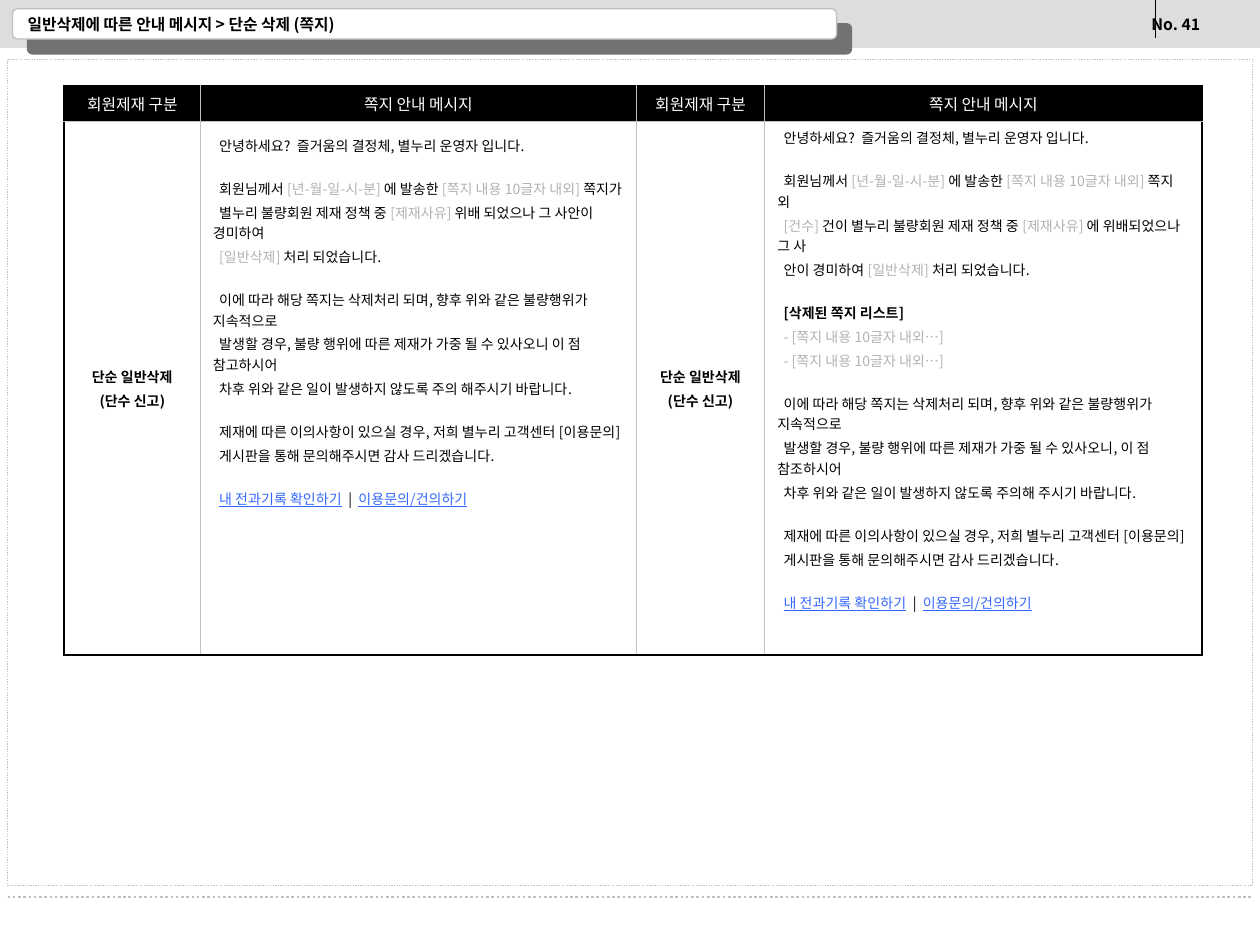
from pptx import Presentation
from pptx.dml.color import RGBColor
from pptx.enum.dml import MSO_LINE
from pptx.enum.shapes import MSO_CONNECTOR, MSO_SHAPE
from pptx.enum.text import MSO_ANCHOR, PP_ALIGN
from pptx.oxml.ns import qn
from pptx.util import Inches, Pt
from lxml.etree import SubElement

FONT = "Noto Sans CJK KR"
BLACK = RGBColor(0, 0, 0)
WHITE = RGBColor(255, 255, 255)
BAND = RGBColor(0xDD, 0xDD, 0xDD)
RULE = RGBColor(0xC0, 0xC0, 0xC0)
GRAY = RGBColor(0xB2, 0xB2, 0xB2)
BLUE = RGBColor(0x33, 0x66, 0xFF)
SHADE = RGBColor(0x72, 0x72, 0x72)


def add_run(para, text, size, color=BLACK, bold=False):
    run = para.add_run()
    run.text = text
    font = run.font
    font.name, font.size, font.bold = FONT, Pt(size), bold
    font.color.rgb = color
    font.underline = color == BLUE
    SubElement(run._r.get_or_add_rPr(), qn("a:ea"), typeface=FONT)


def add_box(kind, left, top, width, height, fill, line=None):
    box = slide.shapes.add_shape(kind, Inches(left), Inches(top),
                                 Inches(width), Inches(height))
    box.shadow.inherit = False
    box.fill.solid()
    box.fill.fore_color.rgb = fill
    if line is None:
        box.line.fill.background()
    else:
        box.line.color.rgb = line
        box.line.width = Pt(0.75)
    return box


prs = Presentation()
prs.slide_width, prs.slide_height = Inches(10), Inches(7.5)
slide = prs.slides.add_slide(prs.slide_layouts[6])

# Header band and title plate with its hard shadow
add_box(MSO_SHAPE.RECTANGLE, 0, 0, 10, 0.38, BAND)
plate = add_box(MSO_SHAPE.ROUNDED_RECTANGLE, 0.1, 0.07, 6.54, 0.24, WHITE, RULE)
effects = plate._element.spPr.find(qn("a:effectLst"))
shadow = SubElement(effects, qn("a:outerShdw"), dist=str(Pt(12.1)),
                    dir="2700000", algn="tl", rotWithShape="0")
SubElement(shadow, qn("a:srgbClr"), val=str(SHADE))

# Page frame
frame = add_box(MSO_SHAPE.RECTANGLE, 0.06, 0.47, 9.88, 6.56, WHITE, RULE)
frame.line.dash_style = MSO_LINE.ROUND_DOT

# Header tick and dotted foot line
for x1, y1, x2, y2, color, width, dash in [
    (9.17, 0, 9.17, 0.3, BLACK, 0.75, None),
    (0.06, 7.12, 9.94, 7.12, RULE, 1.5, MSO_LINE.ROUND_DOT),
]:
    rule = slide.shapes.add_connector(MSO_CONNECTOR.STRAIGHT, Inches(x1),
                                      Inches(y1), Inches(x2), Inches(y2))
    rule.line.color.rgb = color
    rule.line.width = Pt(width)
    rule.line.dash_style = dash
    SubElement(rule._element.spPr, qn("a:effectLst"))

# Title and page number
for text, left, top, width, height in [
    ("일반삭제에 따른 안내 메시지 > 단순 삭제 (쪽지)", 0.12, 0.1, 5.42, 0.18),
    ("No. 41", 9.04, 0.05, 0.9, 0.28),
]:
    label = slide.shapes.add_textbox(Inches(left), Inches(top),
                                     Inches(width), Inches(height)).text_frame
    label.word_wrap = True
    label.vertical_anchor = MSO_ANCHOR.MIDDLE
    add_run(label.paragraphs[0], text, 9, bold=True)

# Message blocks: each block is a list of paragraphs, each a list of runs
date = ("[년-월-일-시-분] ", GRAY)
quote = ("[쪽지 내용 10글자 내외] ", GRAY)
reason = ("[제재사유] ", GRAY)
erase = ("[일반삭제] ", GRAY)
item = [("- [쪽지 내용 10글자 내외…]", GRAY)]
done = ("처리 되었습니다.",)
hello = [[("안녕하세요?  즐거움의 결정체, 별누리 운영자 입니다.",)]]
result = [("이에 따라 해당 쪽지는 삭제처리 되며, 향후 위와 같은 불량행위가 지속적으로",)]
ask = [
    [("제재에 따른 이의사항이 있으실 경우, 저희 별누리 고객센터 [이용문의]",)],
    [("게시판을 통해 문의해주시면 감사 드리겠습니다.",)],
]
links = [[("내 전과기록 확인하기", BLUE), ("  |  ",), ("이용문의/건의하기", BLUE)]]

single = [
    hello,
    [
        [("회원님께서 ",), date, ("에 발송한 ",), quote, ("쪽지가",)],
        [("별누리 불량회원 제재 정책 중 ",), reason, ("위배 되었으나 그 사안이 경미하여",)],
        [erase, done],
    ],
    [
        result,
        [("발생할 경우, 불량 행위에 따른 제재가 가중 될 수 있사오니 이 점 참고하시어",)],
        [("차후 위와 같은 일이 발생하지 않도록 주의 해주시기 바랍니다.",)],
    ],
    ask,
    links,
]
multi = [
    hello,
    [
        [("회원님께서 ",), date, ("에 발송한 ",), quote, ("쪽지 외",)],
        [("[건수] ", GRAY), ("건이 별누리 불량회원 제재 정책 중 ",), reason,
         ("에 위배되었으나 그 사",)],
        [("안이 경미하여 ",), erase, done],
    ],
    [[("[삭제된 쪽지 리스트]", BLACK, True)], item, item],
    [
        result,
        [("발생할 경우, 불량 행위에 따른 제재가 가중 될 수 있사오니, 이 점 참조하시어",)],
        [("차후 위와 같은 일이 발생하지 않도록 주의해 주시기 바랍니다.",)],
    ],
    ask,
    links,
]

# Table grid
widths = [1.08, 3.46, 1.02, 3.47]
heights = [0.28, 4.24]
table = slide.shapes.add_table(2, 4, Inches(0.51), Inches(0.68),
                               Inches(sum(widths)), Inches(sum(heights))).table
table.first_row = table.horz_banding = False
for col, width in zip(table.columns, widths):
    col.width = Inches(width)
for row, height in zip(table.rows, heights):
    row.height = Inches(height)

# Borders (black outside, grey inside) and fills
for r in range(2):
    for c in range(4):
        cell = table.cell(r, c)
        cell.vertical_anchor = MSO_ANCHOR.MIDDLE
        props = cell._tc.get_or_add_tcPr()
        for side, outer in [("L", c == 0), ("R", c == 3), ("T", r == 0), ("B", r == 1)]:
            edge = SubElement(props, qn("a:ln" + side),
                              w=str(Pt(1.08 if outer else 0.45)))
            paint = SubElement(edge, qn("a:solidFill"))
            SubElement(paint, qn("a:srgbClr"), val=str(BLACK if outer else RULE))
        if r == 0:
            cell.fill.solid()
            cell.fill.fore_color.rgb = BLACK
        else:
            cell.fill.background()

# Headings and row labels
for c in range(4):
    para = table.cell(0, c).text_frame.paragraphs[0]
    para.alignment = PP_ALIGN.CENTER
    add_run(para, ["회원제재 구분", "쪽지 안내 메시지"][c % 2], 9, WHITE)
for c in (0, 2):
    body = table.cell(1, c).text_frame
    for i, text in enumerate(["단순 일반삭제", "(단수 신고)"]):
        para = body.add_paragraph() if i else body.paragraphs[0]
        para.alignment = PP_ALIGN.CENTER
        para.space_before = Pt(2)
        add_run(para, text, 8, bold=True)

# Messages: wide gap between blocks, narrow gap within
for c, blocks, top in [(1, single, 0.11), (3, multi, 0.05)]:
    cell = table.cell(1, c)
    cell.vertical_anchor = MSO_ANCHOR.TOP
    cell.margin_top = Inches(top)
    para = cell.text_frame.paragraphs[0]
    for b, block in enumerate(blocks):
        for i, runs in enumerate(block):
            if b or i:
                para = cell.text_frame.add_paragraph()
                para.space_before = Pt(2 if i else 13)
            para._p.get_or_add_pPr().set("marL", "0")
            para._p.get_or_add_pPr().set("indent", str(Inches(0.05)))
            for run in runs:
                add_run(para, run[0], 8, *run[1:])

prs.save("out.pptx")
